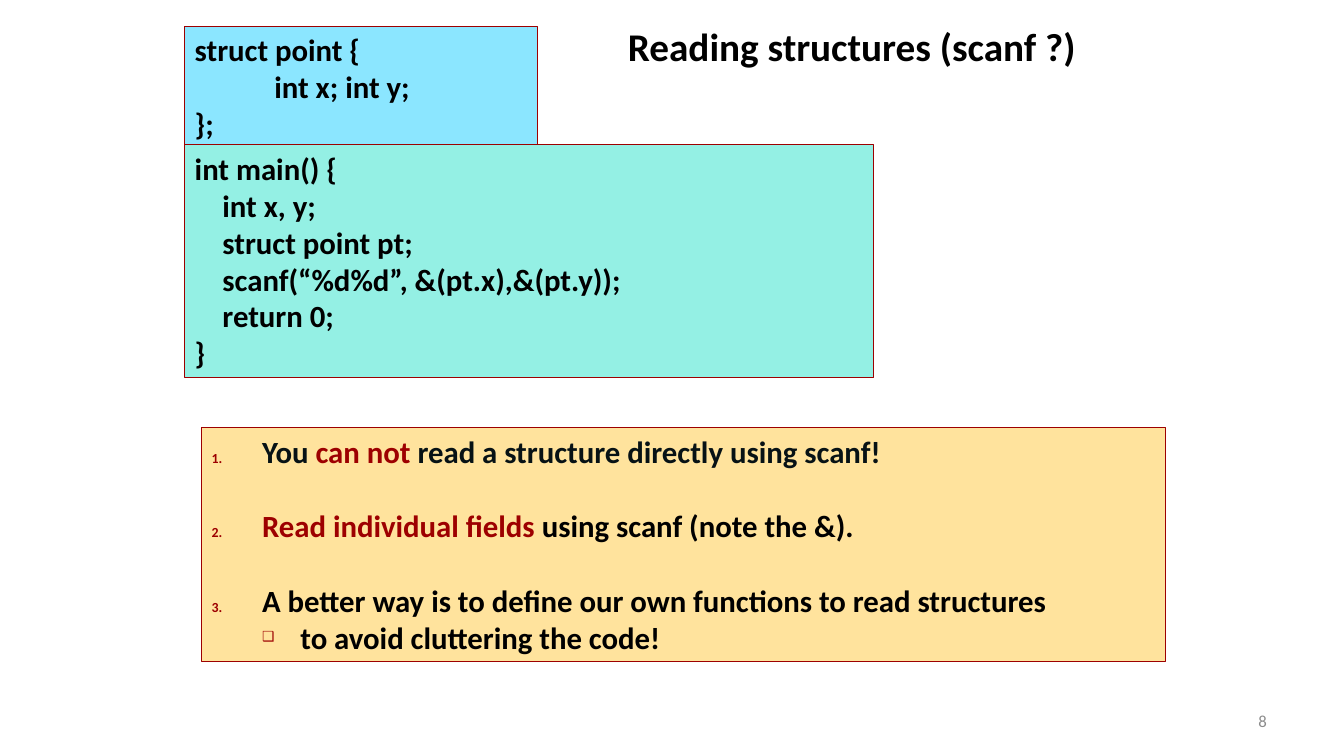
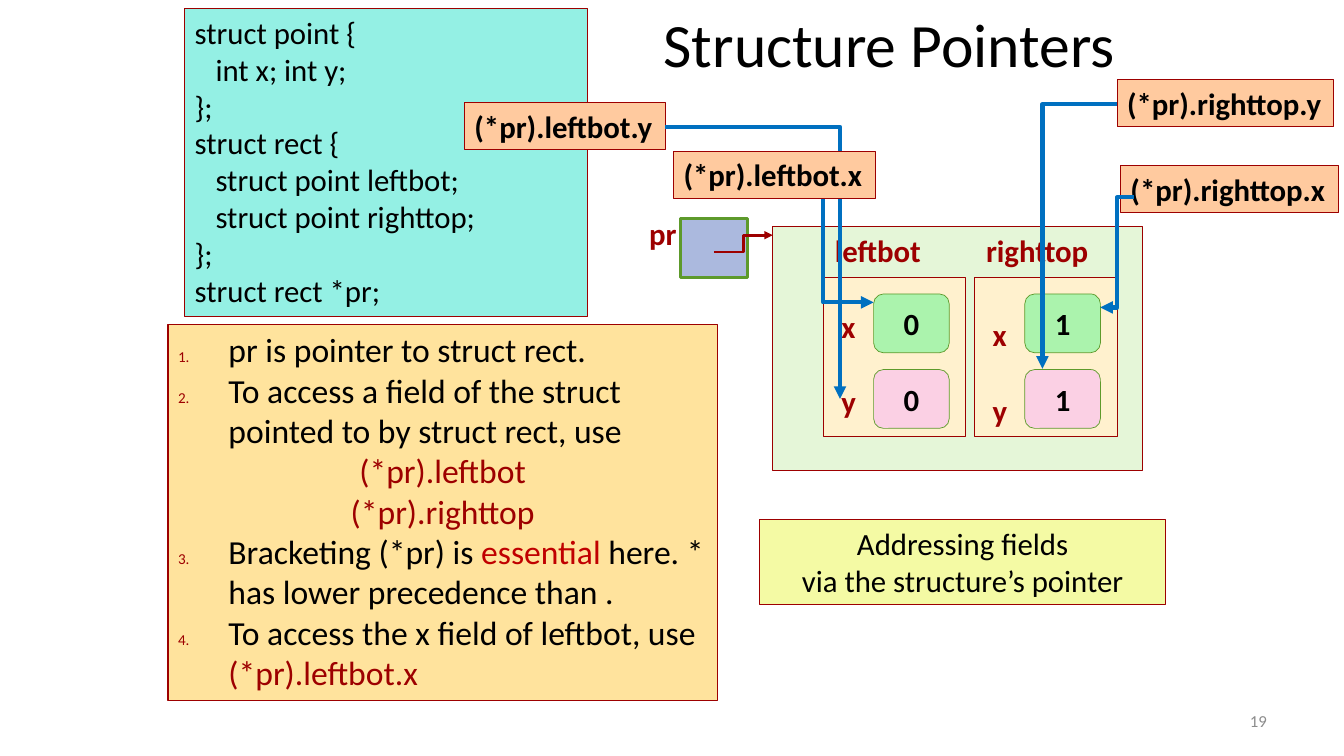
"""Build two slides on reading C structures and on structure pointers."""
from dataclasses import dataclass
from typing import NamedTuple, Optional

from lxml.etree import SubElement
from pptx import Presentation
from pptx.dml.color import RGBColor
from pptx.enum.shapes import MSO_CONNECTOR, MSO_SHAPE
from pptx.enum.text import MSO_ANCHOR, MSO_AUTO_SIZE, PP_ALIGN
from pptx.oxml.ns import qn
from pptx.util import Inches, Length, Pt

COLUMNS, ROWS = 160, 90
WIDTH, HEIGHT = Inches(13.33), Inches(7.5)


@dataclass(frozen=True)
class Theme:
    """Colours and type sizes shared by the slides."""
    font: str = "Calibri"
    ink: str = "000000"
    soft_ink: str = "071215"
    accent: str = "9D0000"
    alert: str = "C00000"
    muted: str = "8C8C8C"
    sky: str = "8BE6FF"
    aqua: str = "94F0E4"
    sand: str = "FFE39D"
    peach: str = "FFCA9F"
    lemon: str = "F4FAA4"
    pointer: str = "ABB9DE"
    record: str = "E5F6D8"
    member: str = "FFF1CE"
    mint: str = "ABF3AD"
    pink: str = "FBD0E4"
    green: str = "5D9A2B"
    blue: str = "0070C0"
    heading: int = 28
    banner: int = 44
    body: int = 22
    large: int = 24
    small: int = 12
    hairline: float = 0.75


THEME = Theme()


class Area(NamedTuple):
    """A rectangle in grid columns and rows."""
    column: float
    row: float
    columns: float
    rows: float


class Span(NamedTuple):
    """A piece of text in one colour."""
    text: str
    color: str = THEME.ink


@dataclass(frozen=True)
class Line:
    """A paragraph with its marker, indents and spacing."""
    spans: tuple[Span, ...]
    marker: str = ""
    start: int = 1
    align: PP_ALIGN = PP_ALIGN.LEFT
    margin: float = 0
    hanging: float = 0
    after: float = 0
    level: int = 0


@dataclass(frozen=True)
class Style:
    """Type size, weight and wrapping of a text."""
    size: int = THEME.body
    bold: bool = True
    wrap: bool = True
    anchor: MSO_ANCHOR = MSO_ANCHOR.TOP


class Arrow(NamedTuple):
    """A bent arrow between two grid points."""
    start: tuple[float, float]
    end: tuple[float, float]
    corner: bool = False
    color: str = THEME.blue
    weight: float = 3


class Member(NamedTuple):
    """A nested point with the value of its two fields."""
    name: str
    value: str
    label_drop: float


LABEL = Style(wrap=False)
PLAIN = Style(bold=False)


def across(columns: float) -> Length:
    """Turn grid columns into a length."""
    return Length(round(WIDTH * columns / COLUMNS))


def down(rows: float) -> Length:
    """Turn grid rows into a length."""
    return Length(round(HEIGHT * rows / ROWS))


def extent(area: Area) -> tuple[Length, Length, Length, Length]:
    """Give left, top, width and height of an area."""
    return across(area.column), down(area.row), across(area.columns), down(area.rows)


def line(text: str, color: str = THEME.ink, align: PP_ALIGN = PP_ALIGN.LEFT) -> Line:
    """Make a paragraph of one colour."""
    return Line((Span(text, color),), align=align)


def item(*spans: Span, start: int = 1, after: float = 0) -> Line:
    """Make a numbered list item."""
    return Line(spans, marker="1.", start=start, margin=0.5, hanging=0.5, after=after)


def code(source: str) -> list[Line]:
    """Make one paragraph for each line of code."""
    return [line(row) for row in source.split("\n")]


def mark(paragraph, content: Line) -> None:
    """Set the indents and the marker of a paragraph."""
    props = paragraph._p.get_or_add_pPr()
    props.set("marL", str(Inches(content.margin)))
    props.set("indent", str(-Inches(content.hanging)))
    if not content.marker:
        SubElement(props, qn("a:buNone"))
        return
    SubElement(SubElement(props, qn("a:buClr")), qn("a:srgbClr"), val=THEME.accent)
    SubElement(props, qn("a:buSzPct"), val="45000")
    SubElement(props, qn("a:buFont"), typeface=THEME.font)
    if content.marker == "1.":
        number = SubElement(props, qn("a:buAutoNum"), type="arabicPeriod")
        if content.start > 1:
            number.set("startAt", str(content.start))
    else:
        SubElement(props, qn("a:buChar"), char=content.marker)


def write(shape, lines: list[Line], style: Style) -> None:
    """Fill a shape with paragraphs, run by run."""
    frame = shape.text_frame
    frame.auto_size = MSO_AUTO_SIZE.NONE
    frame.word_wrap = style.wrap
    frame.vertical_anchor = style.anchor
    frame.margin_left = frame.margin_right = Inches(0.1)
    frame.margin_top = frame.margin_bottom = Inches(0.05)
    for index, content in enumerate(lines):
        paragraph = frame.add_paragraph() if index else frame.paragraphs[0]
        paragraph.level = content.level
        mark(paragraph, content)
        paragraph.alignment = content.align
        paragraph.space_before = Pt(0)
        paragraph.space_after = Pt(content.after)
        for span in content.spans:
            run = paragraph.add_run()
            run.text = span.text
            run.font.name = THEME.font
            run.font.size = Pt(style.size)
            run.font.bold = style.bold
            run.font.color.rgb = RGBColor.from_string(span.color)


def paint(shape, fill: str, border: str = THEME.accent, weight: float = THEME.hairline) -> None:
    """Give a shape its fill and outline."""
    shape.fill.solid()
    shape.fill.fore_color.rgb = RGBColor.from_string(fill)
    shape.line.color.rgb = RGBColor.from_string(border)
    shape.line.width = Pt(weight)


def panel(slide, area: Area, fill: str, lines: Optional[list[Line]] = None, style: Style = Style(),
          border: str = THEME.accent, weight: float = THEME.hairline, rounded: bool = False) -> None:
    """Draw a filled box with optional text."""
    preset = MSO_SHAPE.ROUNDED_RECTANGLE if rounded else MSO_SHAPE.RECTANGLE
    shape = slide.shapes.add_shape(preset, *extent(area))
    shape.shadow.inherit = False
    paint(shape, fill, border, weight)
    if lines:
        write(shape, lines, style)


def caption(slide, area: Area, content: Line, style: Style = LABEL) -> None:
    """Draw free-standing text."""
    write(slide.shapes.add_textbox(*extent(area)), [content], style)


def draw_arrow(slide, arrow: Arrow) -> None:
    """Draw a bent connector with an arrowhead."""
    (begin_column, begin_row), (end_column, end_row) = arrow.start, arrow.end
    connector = slide.shapes.add_connector(
        MSO_CONNECTOR.ELBOW, across(begin_column), down(begin_row), across(end_column), down(end_row))
    connector.line.color.rgb = RGBColor.from_string(arrow.color)
    connector.line.width = Pt(arrow.weight)
    props = connector._element.spPr
    SubElement(props.find(qn("a:ln")), qn("a:tailEnd"), type="triangle")
    SubElement(props, qn("a:effectLst"))
    if arrow.corner:
        props.find(qn("a:prstGeom")).set("prst", "bentConnector2")


def place(placeholder, area: Area) -> None:
    """Move a placeholder to an area."""
    placeholder.left, placeholder.top, placeholder.width, placeholder.height = extent(area)


def start_slide(deck, title: str, title_area: Area, title_style: Style, points: list[Line],
                points_area: Area, points_style: Style, number: str):
    """Add a slide with its title, list and number."""
    slide = deck.slides.add_slide(deck.slide_layouts[1])
    heading, body = slide.placeholders[0], slide.placeholders[1]
    place(heading, title_area)
    write(heading, [line(title, align=PP_ALIGN.CENTER)], title_style)
    place(body, points_area)
    paint(body, THEME.sand)
    write(body, points, points_style)
    caption(slide, Area(114.7, 83.4, 37.3, 4.8), line(number, THEME.muted, PP_ALIGN.RIGHT),
            Style(THEME.small, bold=False, anchor=MSO_ANCHOR.MIDDLE))
    return slide


def reading_slide(deck) -> None:
    """Build the slide on reading structures."""
    gap = 26.8
    points = [
        item(Span("You", THEME.soft_ink), Span(" can not ", THEME.accent),
             Span("read a structure directly using scanf!", THEME.soft_ink), after=gap),
        item(Span("Read individual fields", THEME.accent), Span(" using scanf (note the &)."), after=gap),
        item(Span("A better way is to define our own functions to read structures")),
        Line((Span("to avoid cluttering the code!"),), marker="❑", margin=0.88, hanging=0.38, level=1),
    ]
    slide = start_slide(deck, "Reading structures (scanf ?)", Area(64, 2, 74.8, 6.8), Style(THEME.heading),
                        points, Area(24, 50.9, 114.8, 27.8), Style(), "8")
    panel(slide, Area(22, 3.1, 42, 14.5), THEME.sky,
          [line("struct point {"), Line((Span("int x; int y;"),), margin=0.79), line("};")])
    panel(slide, Area(22, 17.2, 82, 27.8), THEME.aqua, code("""int main() {
    int x, y;
    struct point pt;
    scanf(“%d%d”, &(pt.x),&(pt.y));
    return 0;
}"""))


def draw_record(slide) -> None:
    """Draw the rectangle record with its two nested points."""
    panel(slide, Area(92, 27, 44, 29), THEME.record)
    members = (Member("leftbot", "0", 1), Member("righttop", "1", 2))
    for index, member in enumerate(members):
        column = 98 + 18 * index
        panel(slide, Area(column, 33, 17, 19), THEME.member)
        caption(slide, Area(column + 0.2, 27, 14, 5.6), line(member.name, THEME.accent))
        for step, (field, fill) in enumerate((("x", THEME.mint), ("y", THEME.pink))):
            row = 35 + 9 * step
            panel(slide, Area(column + 6, row, 9, 7), fill, [line(member.value, align=PP_ALIGN.CENTER)],
                  Style(anchor=MSO_ANCHOR.MIDDLE), THEME.green, 0.5, rounded=True)
            caption(slide, Area(column + 1, row + member.label_drop, 4.1, 5.6), line(field, THEME.accent))


def pointers_slide(deck) -> None:
    """Build the slide on structure pointers."""
    access = [Line((Span(f"(*pr).{name}", THEME.accent),), align=PP_ALIGN.CENTER, margin=0.5, hanging=0.5)
              for name in ("leftbot", "righttop")]
    points = [
        item(Span("pr is pointer to struct rect.")),
        item(Span("To access a field of the struct pointed to by struct rect, use")),
        *access,
        item(Span("Bracketing (*pr) is "), Span("essential", THEME.alert),
             Span(" here. * has lower precedence than ."), start=3),
        item(Span("To access the x field of leftbot, use"), Span(" (*pr).leftbot.x", THEME.accent), start=3),
    ]
    slide = start_slide(deck, "Structure Pointers", Area(72, 0.1, 67.8, 8.9), Style(THEME.banner, bold=False),
                        points, Area(20, 38.6, 65.4, 44.8), Style(THEME.large, bold=False), "19")
    panel(slide, Area(22, 1, 48, 36.7), THEME.aqua, code("""struct point {
   int x; int y;
};
struct rect {
   struct point leftbot;
   struct point righttop;
};
struct rect *pr;"""), PLAIN)
    caption(slide, Area(76.1, 25, 5.6, 5.6), line("pr", THEME.accent))
    panel(slide, Area(81, 26, 8, 7), THEME.pointer, border=THEME.green, weight=2)
    draw_arrow(slide, Arrow((85, 30), (92, 28), color=THEME.accent, weight=2))
    draw_record(slide)
    tags = {"leftbot.y": (55.3, 12.2, 23.9), "righttop.y": (133, 9.5, 25.8),
            "righttop.x": (133.4, 19.7, 25.9), "leftbot.x": (80.2, 18, 24)}
    arrows = (Arrow((79.2, 15.1), (100, 47.5), corner=True), Arrow((92, 23), (104, 36)),
              Arrow((135, 23.5), (131, 36.6)), Arrow((133, 12.4), (124.1, 43.9), corner=True))
    for name, (column, row, columns) in tags.items():
        if name == "leftbot.x":
            for arrow in arrows:
                draw_arrow(slide, arrow)
        panel(slide, Area(column, row, columns, 5.6), THEME.peach, [line(f"(*pr).{name}")], LABEL)
    panel(slide, Area(90.4, 61.9, 48.4, 10.1), THEME.lemon,
          [line(text, align=PP_ALIGN.CENTER) for text in ("Addressing fields", "via the structure’s pointer")],
          PLAIN)


def main() -> None:
    """Build and save the presentation."""
    deck = Presentation()
    deck.slide_width, deck.slide_height = WIDTH, HEIGHT
    reading_slide(deck)
    pointers_slide(deck)
    deck.save("out.pptx")


if __name__ == "__main__":
    main()
